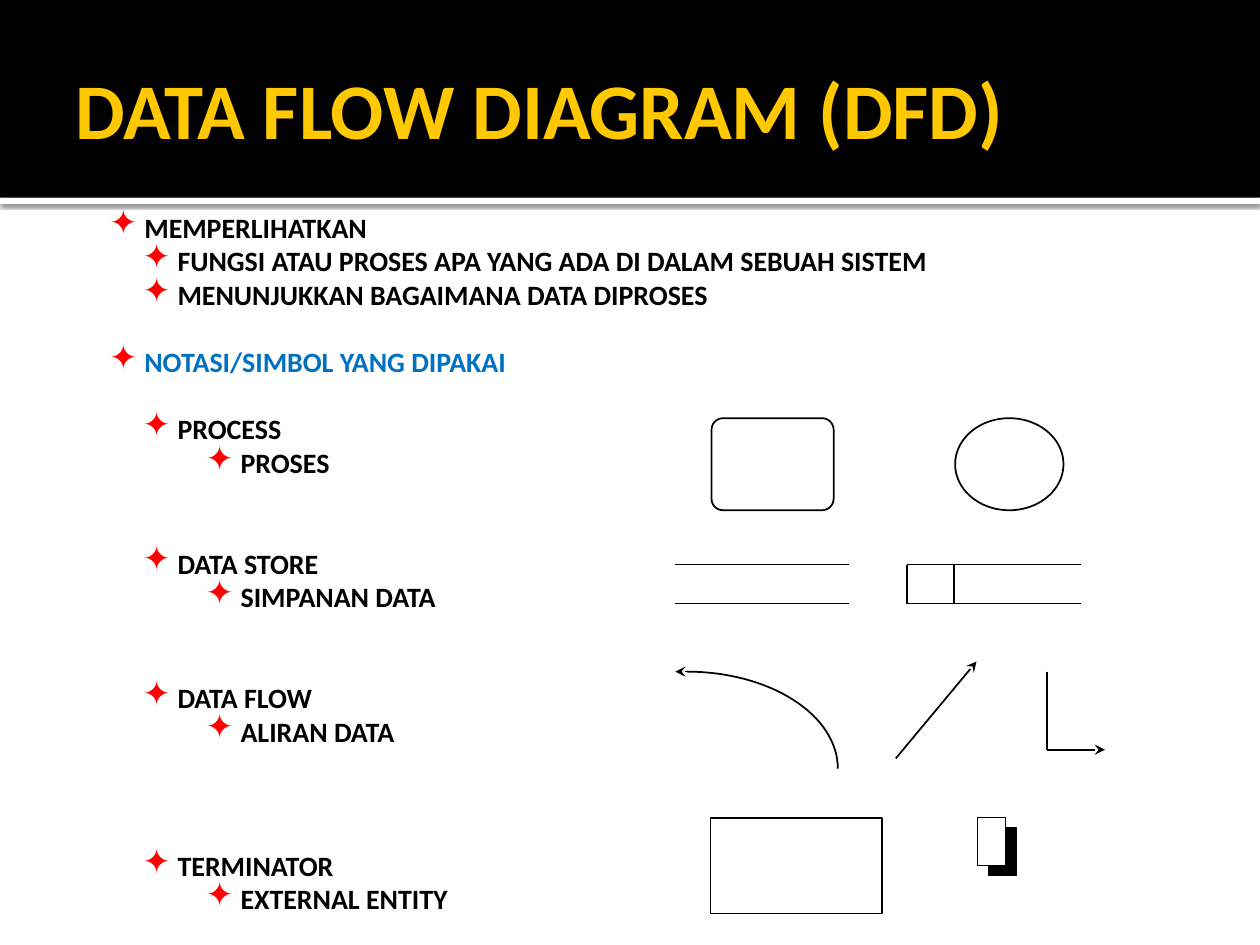
"""Build a slide that lists the data flow diagram symbols beside their drawings."""
from dataclasses import dataclass
from math import cos, pi, sin
from typing import Optional

from lxml.etree import SubElement
from pptx import Presentation
from pptx.dml.color import RGBColor
from pptx.enum.shapes import MSO_CONNECTOR as Connector, MSO_SHAPE as Preset
from pptx.enum.text import MSO_ANCHOR as Anchor
from pptx.oxml.ns import qn
from pptx.util import Pt

BLACK = RGBColor(0x00, 0x00, 0x00)
WHITE = RGBColor(0xFF, 0xFF, 0xFF)
GOLD = RGBColor(0xFF, 0xC8, 0x00)
RED = RGBColor(0xFF, 0x00, 0x00)
BLUE = RGBColor(0x00, 0x70, 0xC0)

LINE_PITCH = 19.2
HANGING = 20
LEVEL_MARGINS = (20, 39, 75)
STORE_TOP, STORE_BOTTOM, STORE_WIDTH = 322.6, 344.9, 99.4
OPEN_STORE, BOX_STORE, BOX_DIVIDER = 385.9, 518.4, 545
FLOW_TOP, ELBOW_X, ELBOW_Y = 383.8, 598.3, 428.4
TITLE_FONT = {"name": "Calibri", "size": Pt(45), "bold": True}
BODY_FONT = {"name": "Calibri", "size": Pt(16), "bold": True}


@dataclass
class Item:
    text: str
    level: int = 0
    lines_before: int = 0
    color: RGBColor = BLACK


@dataclass
class Symbol:
    preset: Preset
    left: float
    top: float
    width: float
    height: float
    fill: Optional[RGBColor] = None
    line_width: float = 1
    corner: Optional[float] = None


@dataclass
class Segment:
    start: tuple[float, float]
    end: tuple[float, float]
    arrow: bool = False


ITEMS = (
    Item("MEMPERLIHATKAN"),
    Item("FUNGSI ATAU PROSES APA YANG ADA DI DALAM SEBUAH SISTEM", 1),
    Item("MENUNJUKKAN BAGAIMANA DATA DIPROSES", 1),
    Item("NOTASI/SIMBOL YANG DIPAKAI", 0, 1, BLUE),
    Item("PROCESS", 1, 1),
    Item("PROSES", 2),
    Item("DATA STORE", 1, 2),
    Item("SIMPANAN DATA", 2),
    Item("DATA FLOW", 1, 2),
    Item("ALIRAN DATA", 2),
    Item("TERMINATOR", 1, 3),
    Item("EXTERNAL ENTITY", 2),
)
BANDS = (
    Symbol(Preset.RECTANGLE, 0, 113, 720, 3.6, WHITE, 0),
    Symbol(Preset.RECTANGLE, 0, 0, 720, 113, BLACK, 0),
)
SYMBOLS = (
    Symbol(Preset.ROUNDED_RECTANGLE, 406.6, 239, 69.8, 52.6, corner=0.125),
    Symbol(Preset.OVAL, 545.8, 239, 61.9, 52.6),
    Symbol(Preset.RECTANGLE, 406.1, 467.3, 97.9, 54.7),
    Symbol(Preset.RECTANGLE, 565.2, 473, 15.8, 27.4, BLACK, 0.75),
    Symbol(Preset.RECTANGLE, 558.7, 467.3, 15.8, 27.4, WHITE, 0.75),
)
SEGMENTS = (
    *(Segment((left, y), (left + STORE_WIDTH, y))
      for left in (OPEN_STORE, BOX_STORE) for y in (STORE_TOP, STORE_BOTTOM)),
    *(Segment((x, STORE_TOP), (x, STORE_BOTTOM)) for x in (BOX_STORE, BOX_DIVIDER)),
    Segment((392.4, FLOW_TOP), (385.9, FLOW_TOP), True),
    Segment((511.9, 433.4), (558, 378), True),
    Segment((ELBOW_X, FLOW_TOP), (ELBOW_X, ELBOW_Y)),
    Segment((ELBOW_X, ELBOW_Y), (631.4, ELBOW_Y), True),
)


def apply_format(target, values: dict) -> None:
    for name, value in values.items():
        setattr(target, name, value)


def draw_symbol(slide, symbol: Symbol):
    shape = slide.shapes.add_shape(
        symbol.preset, *map(Pt, (symbol.left, symbol.top, symbol.width, symbol.height)))
    shape.shadow.inherit = False
    if symbol.fill is None:
        shape.fill.background()
    else:
        shape.fill.solid()
        shape.fill.fore_color.rgb = symbol.fill
    if symbol.line_width:
        shape.line.color.rgb = BLACK
        shape.line.width = Pt(symbol.line_width)
    else:
        shape.line.fill.background()
    if symbol.corner is not None:
        shape.adjustments[0] = symbol.corner
    return shape


def add_band_shadow(shape) -> None:
    effects = shape._element.spPr.find(qn("a:effectLst"))
    shadow = SubElement(effects, qn("a:outerShdw"), blurRad=str(Pt(2.5)),
                        dist=str(Pt(0.8)), dir="5400000", algn="tl", rotWithShape="0")
    color = SubElement(shadow, qn("a:srgbClr"), val=str(BLACK))
    SubElement(color, qn("a:alpha"), val="60000")


def draw_segment(slide, segment: Segment) -> None:
    connector = slide.shapes.add_connector(
        Connector.STRAIGHT, *map(Pt, segment.start + segment.end))
    connector.line.color.rgb = BLACK
    connector.line.width = Pt(1)
    if segment.arrow:
        SubElement(connector.line._get_or_add_ln(), qn("a:tailEnd"), type="stealth")
    SubElement(connector._element.spPr, qn("a:effectLst"))


def draw_curve(slide, left: float, top: float, width: float, height: float) -> None:
    steps = 32
    angles = [pi / 2 * step / steps for step in range(steps + 1)]
    points = [(Pt(left + width * sin(angle)), Pt(top + height * (1 - cos(angle))))
              for angle in angles]
    builder = slide.shapes.build_freeform(*points[0])
    builder.add_line_segments(points[1:], close=False)
    curve = builder.convert_to_shape()
    curve.shadow.inherit = False
    curve.fill.background()
    curve.line.color.rgb = BLACK
    curve.line.width = Pt(1)


def add_text_frame(slide, box: tuple, values: dict):
    frame = slide.shapes.add_textbox(*map(Pt, box)).text_frame
    apply_format(frame, {"word_wrap": True, **values})
    return frame


def write_run(paragraph, text: str, font: dict, color: RGBColor) -> None:
    run = paragraph.add_run()
    run.text = text
    apply_format(run.font, font)
    run.font.color.rgb = color


def write_item(paragraph, item: Item) -> None:
    apply_format(paragraph, {
        "level": item.level,
        "line_spacing": Pt(LINE_PITCH),
        "space_before": Pt(LINE_PITCH * item.lines_before),
    })
    properties = paragraph._p.get_or_add_pPr()
    properties.set("marL", str(Pt(LEVEL_MARGINS[item.level])))
    properties.set("indent", str(-Pt(HANGING)))
    bullet_color = SubElement(properties, qn("a:buClr"))
    SubElement(bullet_color, qn("a:srgbClr"), val=str(RED))
    SubElement(properties, qn("a:buSzPct"), val="120000")
    SubElement(properties, qn("a:buChar"), char="✦")
    write_run(paragraph, item.text, BODY_FONT, item.color)


def main() -> None:
    presentation = Presentation()
    apply_format(presentation, {"slide_width": Pt(720), "slide_height": Pt(540)})
    slide = presentation.slides.add_slide(presentation.slide_layouts[6])
    divider, _ = [draw_symbol(slide, band) for band in BANDS]
    add_band_shadow(divider)
    title = add_text_frame(slide, (36, 12.2, 648, 98.6), {
        "vertical_anchor": Anchor.MIDDLE, "margin_right": Pt(3.6)})
    write_run(title.paragraphs[0], "DATA FLOW DIAGRAM (DFD)", TITLE_FONT, GOLD)
    body = add_text_frame(slide, (55.4, 116.6, 543.6, 414.7), {})
    for index, item in enumerate(ITEMS):
        write_item(body.add_paragraph() if index else body.paragraphs[0], item)
    for symbol in SYMBOLS:
        draw_symbol(slide, symbol)
    for segment in SEGMENTS:
        draw_segment(slide, segment)
    draw_curve(slide, 392.4, FLOW_TOP, 86.4, 55.4)
    presentation.save("out.pptx")


if __name__ == "__main__":
    main()
